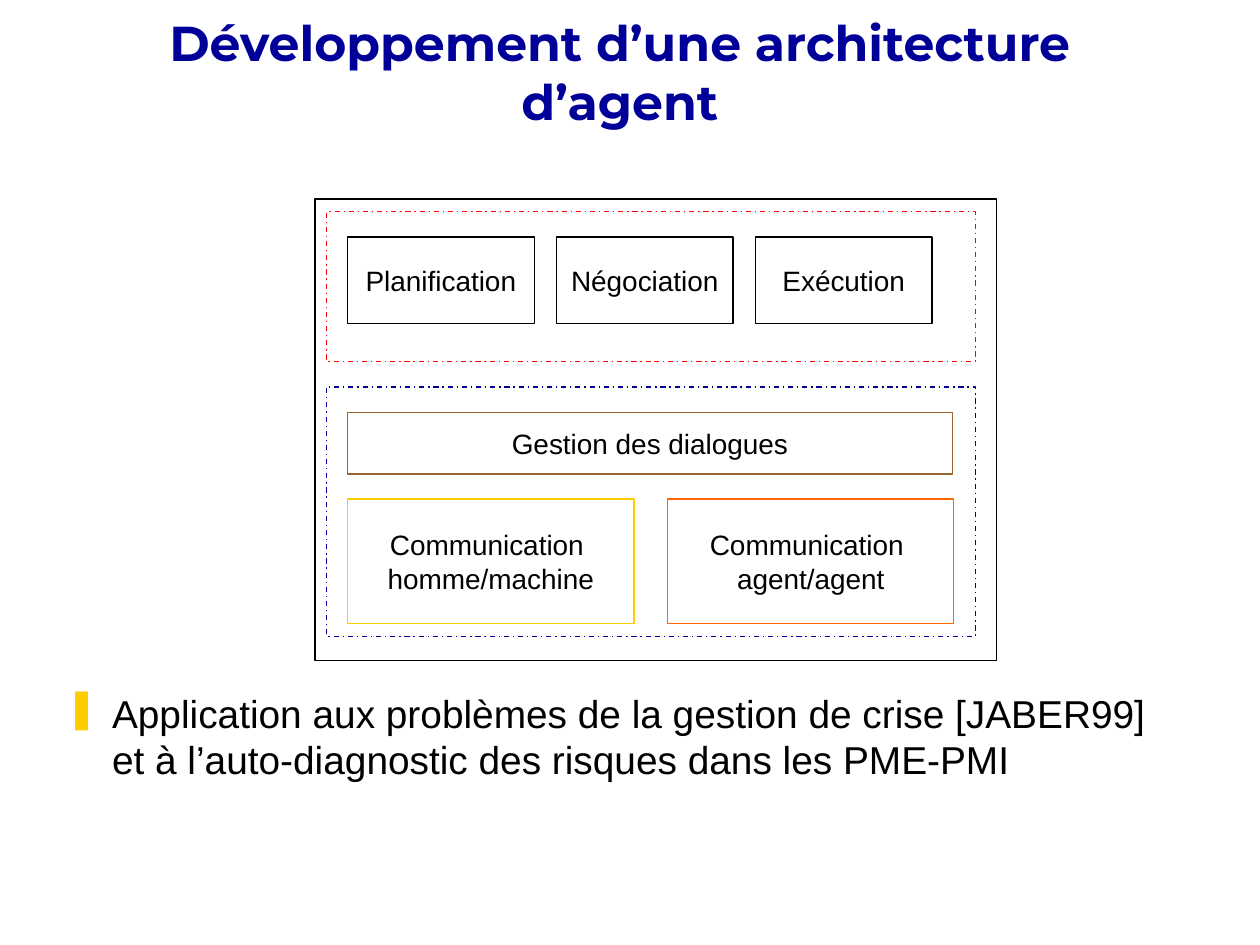
import pptx
import pptx.util
import pptx.dml.color
import pptx.enum.dml
import pptx.enum.shapes
import pptx.enum.text
import lxml.etree
from pptx.util import Cm

ANCHOR = pptx.enum.text.MSO_ANCHOR
ALIGN = pptx.enum.text.PP_ALIGN


def color(value):
    return pptx.dml.color.RGBColor.from_string(value)


def write(shape, text, size, font="Arial", ink="000000", align=ALIGN.CENTER, bold=False):
    shape.text_frame.text = text
    for para in shape.text_frame.paragraphs:
        para.alignment = align
        for span in para.runs:
            span.font.size = pptx.util.Pt(size)
            span.font.name = font
            span.font.bold = bold
            span.font.color.rgb = color(ink)


deck = pptx.Presentation()
deck.slide_width, deck.slide_height = Cm(25.4), Cm(19.05)
page = deck.slides.add_slide(deck.slide_layouts[6])

# Title
title = page.shapes.add_textbox(Cm(1.7), Cm(0.64), Cm(21.59), Cm(2.11))
title.text_frame.word_wrap = True
title.text_frame.vertical_anchor = ANCHOR.BOTTOM
write(title, "Développement d’une architecture d’agent", 28, "Montserrat", "000099", bold=True)

# Architecture: left, top, width, height, line colour, dashed, text
left = 7.01
blocks = [
    (left, 10.06, 5.77, 2.51, "FFCC00", False, "Communication \nhomme/machine"),
    (13.46, 10.06, 5.77, 2.51, "FF6600", False, "Communication \nagent/agent"),
    (left, 8.31, 12.19, 1.25, "996633", False, "Gestion des dialogues"),
    (6.58, 7.8, 13.08, 5.03, "000099", True, ""),
    (6.58, 4.27, 13.08, 3.02, "FF0000", True, ""),
    (6.35, 4.01, 13.74, 9.3, "000000", False, ""),
]

# Row of task modules, separated by equal gaps
for name, width in (("Planification", 3.76), ("Négociation", 3.56), ("Exécution", 3.56)):
    blocks.append((left, 4.78, width, 1.75, "000000", False, name))
    left += width + 0.45

for x, y, width, height, outline, dashed, text in blocks:
    box = page.shapes.add_shape(
        pptx.enum.shapes.MSO_SHAPE.RECTANGLE, Cm(x), Cm(y), Cm(width), Cm(height))
    box.shadow.inherit = False
    box.fill.background()
    box.line.color.rgb = color(outline)
    box.line.width = pptx.util.Pt(0.75)
    if dashed:
        box.line.dash_style = pptx.enum.dml.MSO_LINE.DASH_DOT
    if text:
        box.text_frame.word_wrap = False
        box.text_frame.vertical_anchor = ANCHOR.MIDDLE
        write(box, text, 16)

# Bulleted conclusion
body = page.shapes.add_textbox(Cm(1.07), Cm(13.77), Cm(22.71), Cm(2.69))
body.text_frame.word_wrap = True
write(body, "Application aux problèmes de la gestion de crise [JABER99] "
            "et à l’auto-diagnostic des risques dans les PME-PMI", 22.2, align=ALIGN.LEFT)
para = body.text_frame.paragraphs[0]
para.space_before = pptx.util.Pt(6)
properties = para._p.get_or_add_pPr()
properties.set("marL", str(Cm(0.94)))
properties.set("indent", str(-Cm(0.94)))
namespace = "{http://schemas.openxmlformats.org/drawingml/2006/main}"
bullet_color = lxml.etree.SubElement(properties, namespace + "buClr")
lxml.etree.SubElement(bullet_color, namespace + "srgbClr", val="FFCC00")
lxml.etree.SubElement(properties, namespace + "buChar", char="❚")

deck.save("out.pptx")
